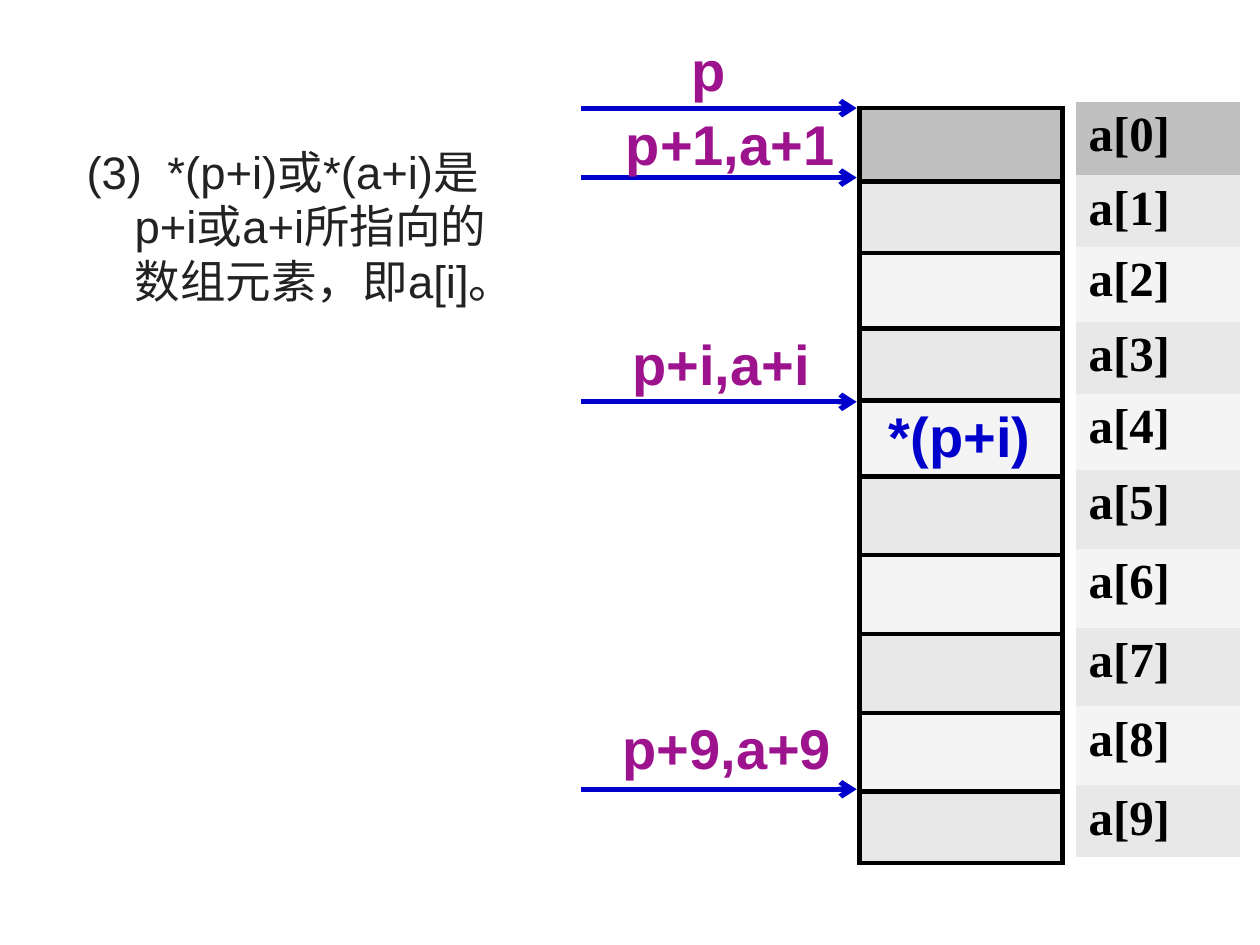
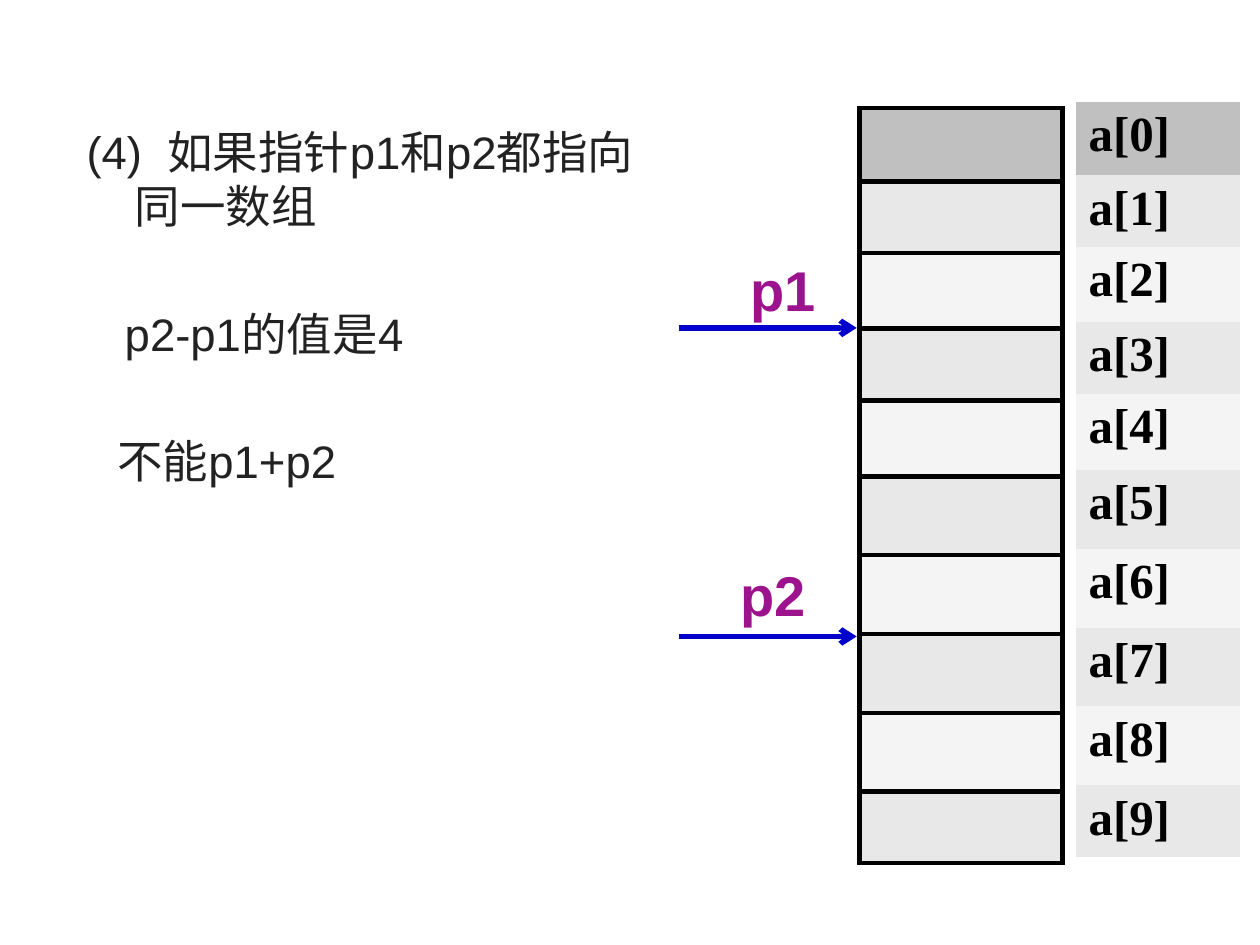
from lxml.etree import SubElement
from pptx import Presentation
from pptx.dml.color import RGBColor
from pptx.enum.shapes import MSO_CONNECTOR
from pptx.enum.text import MSO_AUTO_SIZE
from pptx.oxml.ns import qn
from pptx.util import Cm, Pt

PURPLE = RGBColor(0x9D, 0x13, 0x8D)
BLUE = RGBColor(0x00, 0x00, 0xCC)
BLACK = RGBColor(0x00, 0x00, 0x00)
DARK = RGBColor(0x22, 0x22, 0x22)
HEADER_GREY = RGBColor(0xC0, 0xC0, 0xC0)
ODD_GREY = RGBColor(0xE8, 0xE8, 0xE8)
EVEN_GREY = RGBColor(0xF4, 0xF4, 0xF4)

PLAIN_TABLE_STYLE = "{2D5ABB26-0587-4C30-8999-92F81FD0307C}"
ROW_HEIGHTS = [1.48, 1.44, 1.52, 1.45, 1.53, 1.59, 1.59, 1.59, 1.59, 1.44]
ELEMENT_NAMES = [f"a[{index}]" for index in range(len(ROW_HEIGHTS))]
NAME_COLUMN = (21.69, 2.05, 3.3)
MEMORY_COLUMN = (17.32, 2.18, 4.1)
ARROW_END = 17.27
LABEL_HEIGHT = 1.63
HANGING_INDENT = 0.97
NUMBER_GAP = "720"

SLIDES = [
    {
        "body": (1.49, 2.77, 9.22, 13.69),
        "point": ("(3)", "*(p+i)或*(a+i)是p+i或a+i所指向的数组元素，即a[i]。"),
        "remarks": [],
        "arrow_start": 11.71,
        "arrow_tops": [2.18, 3.58, 8.1, 15.91],
        "labels": [
            ("p", 13.69, 0.6, 1.4, PURPLE),
            ("p+1,a+1", 12.37, 2.08, 4.78, PURPLE),
            ("p+i,a+i", 12.5, 6.52, 4.78, PURPLE),
            ("p+9,a+9", 12.3, 14.25, 4.78, PURPLE),
            ("*(p+i)", 17.67, 7.96, 3.38, BLUE),
        ],
    },
    {
        "body": (1.49, 2.37, 11.79, 12.5),
        "point": ("(4)", "如果指针p1和p2都指向同一数组"),
        "remarks": [("p2-p1的值是4", 0.77), ("不能p1+p2", 0.62)],
        "arrow_start": 13.68,
        "arrow_tops": [6.61, 12.83],
        "labels": [
            ("p1", 14.88, 5.03, 1.98, PURPLE),
            ("p2", 14.68, 11.18, 2.39, PURPLE),
        ],
    },
]


def format_runs(paragraph, font_name, size, color, bold=False):
    for run in paragraph.runs:
        run.font.name = font_name
        run.font.size = Pt(size)
        run.font.color.rgb = color
        run.font.bold = bold


def format_body_paragraph(paragraph, margin, indent):
    format_runs(paragraph, "Arial", 26, DARK)
    properties = paragraph._p.get_or_add_pPr()
    properties.set("marL", str(Cm(margin)))
    properties.set("indent", str(Cm(indent)))
    SubElement(properties, qn("a:buNone"))


def fill_body(slide, position, point, remarks):
    slide.shapes.title.element.getparent().remove(slide.shapes.title.element)
    body = slide.placeholders[1]
    body.left, body.top, body.width, body.height = map(Cm, position)
    text_frame = body.text_frame
    text_frame.auto_size = MSO_AUTO_SIZE.NONE
    number, sentence = point
    paragraph = text_frame.paragraphs[0]
    for text in (number, " ", sentence):
        paragraph.add_run().text = text
    format_body_paragraph(paragraph, HANGING_INDENT, -HANGING_INDENT)
    paragraph.runs[1]._r.get_or_add_rPr().set("spc", NUMBER_GAP)
    for remark, margin in remarks:
        paragraph = text_frame.add_paragraph()
        paragraph.text = remark
        paragraph.space_before = Pt(41.5)
        format_body_paragraph(paragraph, margin, 0)


def add_cell_borders(cell):
    properties = cell._tc.get_or_add_tcPr()
    for side in ("lnL", "lnR", "lnT", "lnB"):
        border = SubElement(properties, qn(f"a:{side}"), w=str(Pt(3)))
        fill = SubElement(border, qn("a:solidFill"))
        SubElement(fill, qn("a:srgbClr"), val=str(BLACK))


def add_column(slide, column, names=None):
    left, top, width = column
    frame = slide.shapes.add_table(
        len(ROW_HEIGHTS), 1, Cm(left), Cm(top), Cm(width), Cm(sum(ROW_HEIGHTS))
    )
    table = frame.table
    table._tbl.tblPr.find(qn("a:tableStyleId")).text = PLAIN_TABLE_STYLE
    for index, height in enumerate(ROW_HEIGHTS):
        table.rows[index].height = Cm(height)
        cell = table.cell(index, 0)
        if names:
            cell.text_frame.text = names[index]
            format_runs(cell.text_frame.paragraphs[0], "Times New Roman", 28, BLACK, True)
        else:
            add_cell_borders(cell)
        cell.fill.solid()
        band = ODD_GREY if index % 2 else EVEN_GREY
        cell.fill.fore_color.rgb = band if index else HEADER_GREY


def add_arrow(slide, start, top):
    arrow = slide.shapes.add_connector(
        MSO_CONNECTOR.STRAIGHT, Cm(start), Cm(top), Cm(ARROW_END), Cm(top)
    )
    arrow.line.color.rgb = BLUE
    arrow.line.width = Pt(3)
    SubElement(arrow.line._get_or_add_ln(), qn("a:tailEnd"), type="arrow")
    SubElement(arrow._element.spPr, qn("a:effectLst"))


def add_label(slide, text, left, top, width, color):
    label = slide.shapes.add_textbox(Cm(left), Cm(top), Cm(width), Cm(LABEL_HEIGHT))
    label.text_frame.word_wrap = True
    label.text_frame.text = text
    format_runs(label.text_frame.paragraphs[0], "Arial", 32, color, True)


def main():
    presentation = Presentation()
    presentation.slide_width = Cm(25.4)
    presentation.slide_height = Cm(19.05)
    for content in SLIDES:
        slide = presentation.slides.add_slide(presentation.slide_layouts[1])
        fill_body(slide, content["body"], content["point"], content["remarks"])
        add_column(slide, NAME_COLUMN, ELEMENT_NAMES)
        add_column(slide, MEMORY_COLUMN)
        for top in content["arrow_tops"]:
            add_arrow(slide, content["arrow_start"], top)
        for label in content["labels"]:
            add_label(slide, *label)
    presentation.save("out.pptx")


if __name__ == "__main__":
    main()
